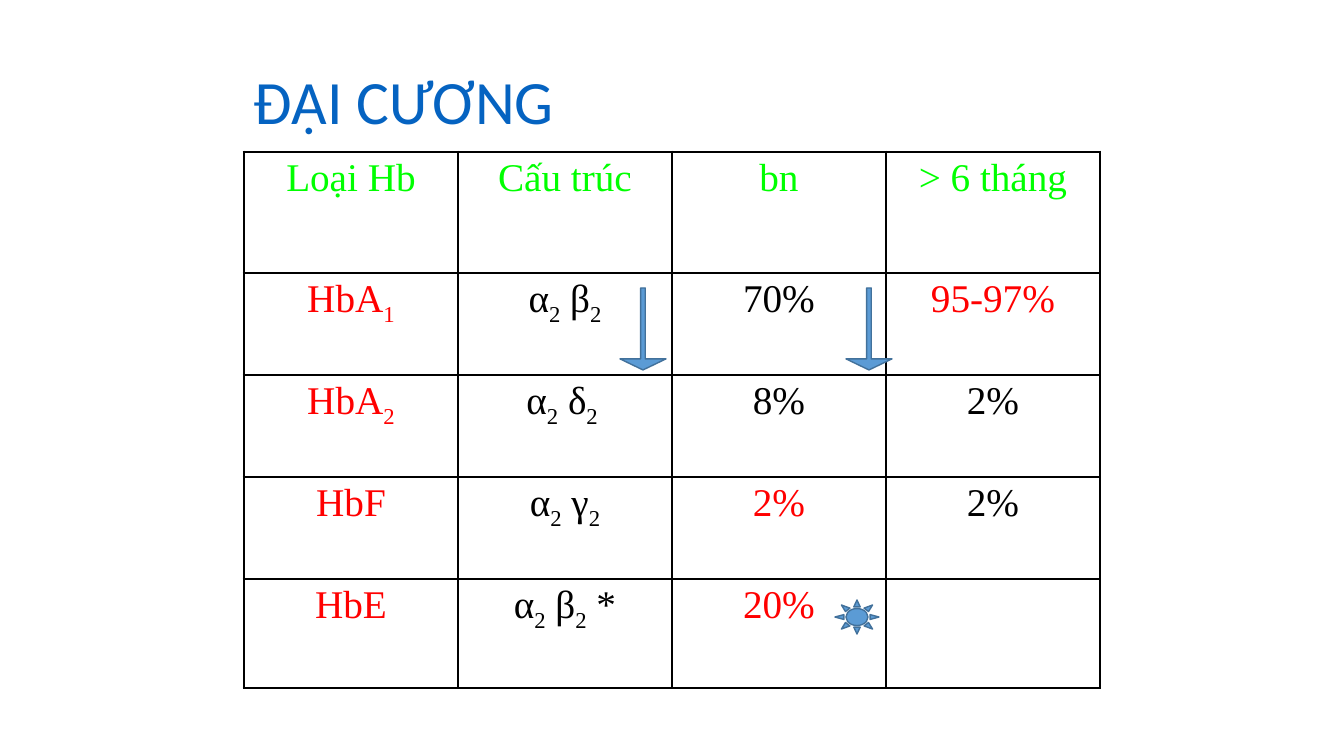
from pptx import Presentation
from pptx.dml.color import RGBColor
from pptx.enum.shapes import MSO_SHAPE
from pptx.enum.text import MSO_ANCHOR, PP_ALIGN
from pptx.oxml import parse_xml
from pptx.oxml.ns import nsdecls
from pptx.util import Pt

DOWN = MSO_SHAPE.DOWN_ARROW
SUN = MSO_SHAPE.SUN
MIDDLE = MSO_ANCHOR.MIDDLE
LEFT = PP_ALIGN.LEFT
CENTER = PP_ALIGN.CENTER

BLACK = RGBColor(0, 0, 0)
RED = RGBColor(255, 0, 0)
GREEN = RGBColor(0, 255, 0)
BLUE = RGBColor(0x05, 0x63, 0xC1)
FILL = RGBColor(0x5B, 0x9B, 0xD5)
EDGE = RGBColor(0x42, 0x71, 0x9B)

WIDE, HIGH = 1344, 756
SCALE = 12192000 / WIDE
COLS = [214] * 4
ROWS = [121, 102, 102, 102, 109]
THIN, THICK = 1, 2.25

CELLS = [
    [("Loại Hb", GREEN), ("Cấu trúc", GREEN), ("bn", GREEN), ("> 6 tháng", GREEN)],
    [("HbA|1", RED), ("α|2| β|2", BLACK), ("70%", BLACK), ("95-97%", RED)],
    [("HbA|2", RED), ("α|2| δ|2 ", BLACK), ("8%", BLACK), ("2%", BLACK)],
    [("HbF", RED), ("α|2| γ|2", BLACK), ("2%", RED), ("2%", BLACK)],
    [("HbE", RED), ("α|2| β|2| *", BLACK), ("20%", RED), ("", BLACK)],
]


def px(*sizes):
    return [round(size * SCALE) for size in sizes]


def write(frame, text, *, font="Times New Roman", size=28, color=BLACK,
          align=CENTER, space=1.0):
    para = frame.paragraphs[0]
    para.alignment = align
    para.line_spacing = space
    for i, part in enumerate(text.split("|")):
        if not part:
            continue
        run = para.add_run()
        run.text = part
        run.font.name = font
        run.font.size = Pt(size)
        run.font.color.rgb = color
        if i % 2:
            run._r.get_or_add_rPr().set("baseline", "-25000")


def add_title(slide, text):
    frame = slide.shapes.add_textbox(*px(244, 42, 857, 126)).text_frame
    frame.word_wrap = True
    frame.vertical_anchor = MIDDLE
    write(frame, text, font="Calibri", size=44, color=BLUE, align=LEFT, space=0.9)


def set_edge(cell, side, width):
    cell._tc.get_or_add_tcPr().append(parse_xml(
        f'<a:ln{side} {nsdecls("a")} w="{Pt(width)}"><a:solidFill>'
        f'<a:srgbClr val="{BLACK}"/></a:solidFill></a:ln{side}>'))


def add_grid(slide):
    frame = slide.shapes.add_table(
        len(ROWS), len(COLS), *px(244, 152, sum(COLS), sum(ROWS)))
    table = frame.table
    table.first_row = table.horz_banding = False
    for col, width in zip(table.columns, px(*COLS)):
        col.width = width
    for row, height in zip(table.rows, px(*ROWS)):
        row.height = height
    for r, line in enumerate(CELLS):
        for c, (text, color) in enumerate(line):
            cell = table.cell(r, c)
            outer = {"L": c == 0, "R": c == len(COLS) - 1,
                     "T": r == 0, "B": r == len(ROWS) - 1}
            for side, edge in outer.items():
                set_edge(cell, side, THICK if edge else THIN)
            cell.fill.background()
            write(cell.text_frame, text, color=color)


def add_mark(slide, kind, box, adjust, turn=0):
    mark = slide.shapes.add_shape(kind, *px(*box))
    mark.shadow.inherit = False
    mark.fill.solid()
    mark.fill.fore_color.rgb = FILL
    mark.line.color.rgb = EDGE
    mark.line.width = Pt(1)
    mark.rotation = turn
    for i, value in enumerate(adjust):
        mark.adjustments[i] = value


def main():
    deck = Presentation()
    deck.slide_width, deck.slide_height = px(WIDE, HIGH)
    slide = deck.slides.add_slide(deck.slide_layouts[6])
    add_title(slide, "ĐẠI CƯƠNG")
    add_grid(slide)
    for left in (620, 846):
        add_mark(slide, DOWN, (left, 288, 46, 82), (0.1, 0.24))
    add_mark(slide, SUN, (835, 600, 44, 34), (0.25,), turn=180)
    deck.save("out.pptx")


if __name__ == "__main__":
    main()
